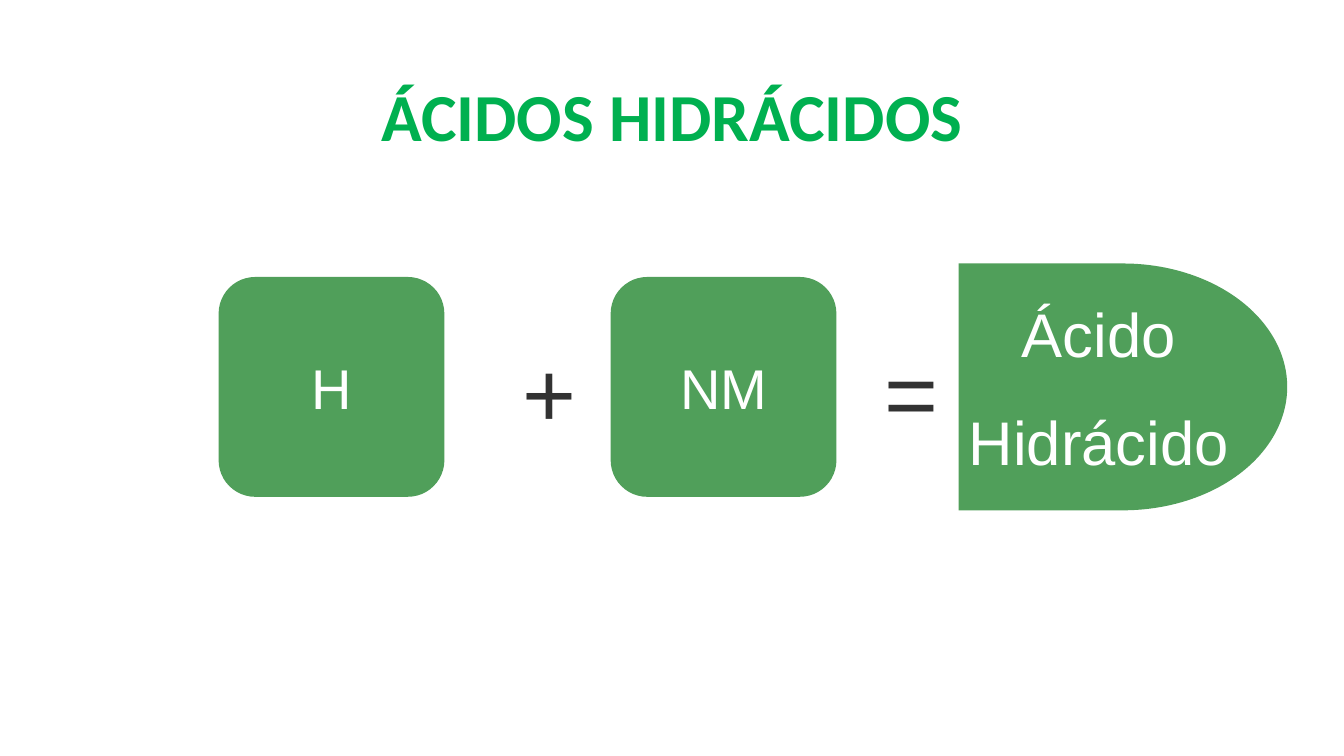
from pptx import Presentation
from pptx.dml.color import RGBColor
from pptx.enum.shapes import MSO_SHAPE as Kind
from pptx.enum.text import MSO_ANCHOR as Anchor, PP_ALIGN as Align
from pptx.util import Cm, Pt

GREEN = RGBColor(0x50, 0x9F, 0x5A)
TITLE = RGBColor(0x00, 0xB0, 0x50)
DARK = RGBColor(0x32, 0x32, 0x32)
WHITE = RGBColor(0xFF, 0xFF, 0xFF)

HEAD = "ÁCIDOS HIDRÁCIDOS"
BOX, DELAY = Kind.FLOWCHART_ALTERNATE_PROCESS, Kind.FLOWCHART_DELAY
# kind, text, left, width, height (cm), text size
TERMS = [
    (BOX, "H", 5.51, 5.69, 5.54, 40),
    (BOX, "NM", 15.39, 5.69, 5.54, 40),
    (DELAY, "Ácido\nHidrácido", 24.16, 8.28, 6.22, 44),
]
SIGNS = [("+", 12.57), ("=", 21.69)]
MID = 9.75
SIGN_W, SIGN_H = 2.21, 3.05


def write(frame, text, size, color, align, font="Arial"):
    frame.text = text
    for i, para in enumerate(frame.paragraphs):
        para.alignment = align
        if i:
            para.space_before = Pt(size * 0.55)
        for run in para.runs:
            run.font.name = font
            run.font.size = Pt(size)
            run.font.color.rgb = color


def add_term(slide, kind, text, left, width, height, size):
    top = MID - height / 2
    shape = slide.shapes.add_shape(kind, Cm(left), Cm(top), Cm(width), Cm(height))
    shape.shadow.inherit = False
    shape.fill.solid()
    shape.fill.fore_color.rgb = GREEN
    shape.line.fill.background()
    frame = shape.text_frame
    frame.word_wrap = False
    frame.vertical_anchor = Anchor.MIDDLE
    write(frame, text, size, WHITE, Align.CENTER)


def add_sign(slide, text, left):
    top = MID - SIGN_H / 2 + 0.1
    box = slide.shapes.add_textbox(Cm(left), Cm(top), Cm(SIGN_W), Cm(SIGN_H))
    frame = box.text_frame
    frame.word_wrap = True
    frame.vertical_anchor = Anchor.BOTTOM
    write(frame, text, 66, DARK, Align.RIGHT)


def main():
    deck = Presentation()
    deck.slide_width, deck.slide_height = Cm(33.87), Cm(19.05)
    slide = deck.slides.add_slide(deck.slide_layouts[5])

    title = slide.shapes.title
    title.left, title.top = Cm(2.33), Cm(1.75)
    title.width, title.height = Cm(29.21), Cm(3.68)
    title.text_frame.vertical_anchor = Anchor.TOP
    write(title.text_frame, HEAD, 48, TITLE, Align.CENTER, "Calibri")
    title.text_frame.paragraphs[0].runs[0].font.bold = True

    for term in TERMS:
        add_term(slide, *term)
    for sign in SIGNS:
        add_sign(slide, *sign)
    deck.save("out.pptx")


if __name__ == "__main__":
    main()
